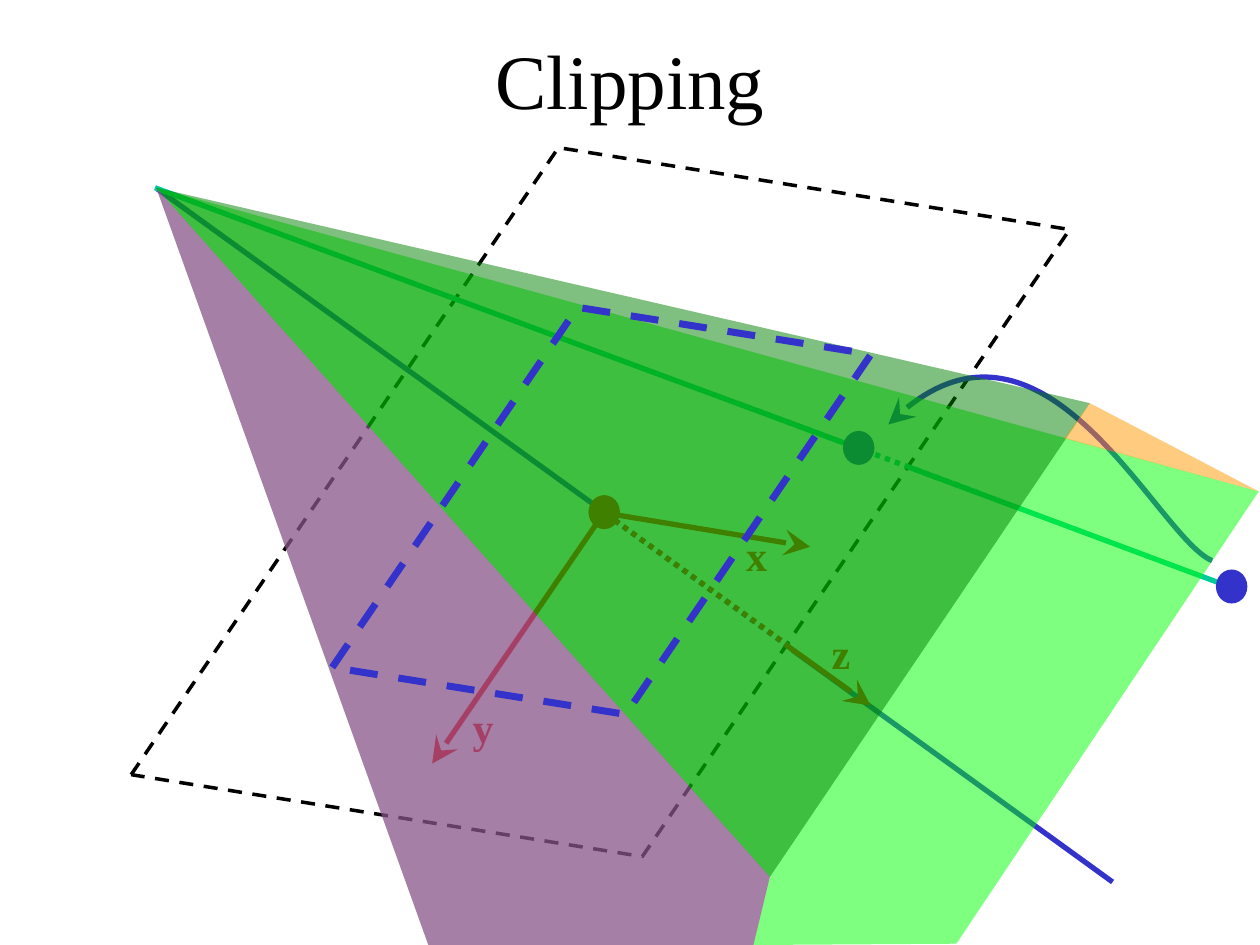
from dataclasses import dataclass

from lxml import etree
from pptx import Presentation
from pptx.dml.color import RGBColor
from pptx.enum.dml import MSO_LINE
from pptx.enum.shapes import MSO_CONNECTOR, MSO_SHAPE
from pptx.enum.text import MSO_ANCHOR, MSO_AUTO_SIZE, PP_ALIGN
from pptx.oxml.ns import qn
from pptx.util import Pt

PX = 9144
DASH, DOT = MSO_LINE.DASH, MSO_LINE.ROUND_DOT
OVAL, SLANT = MSO_SHAPE.OVAL, MSO_SHAPE.PARALLELOGRAM
LINE = MSO_CONNECTOR.STRAIGHT
MID, MIDDLE = PP_ALIGN.CENTER, MSO_ANCHOR.MIDDLE
FIT = MSO_AUTO_SIZE.SHAPE_TO_FIT_TEXT


@dataclass(frozen=True)
class Theme:
    """Hold the colours, type sizes and line widths."""
    font: str = "Times New Roman"
    head: int = 44
    label: int = 24
    thin: int = 2
    stroke: int = 3
    thick: int = 4
    ink: str = "000000"
    white: str = "FFFFFF"
    blue: str = "3333CC"
    teal: str = "00CC99"
    red: str = "FF0000"
    lime: str = "00FF00"
    green: str = "008000"
    amber: str = "FF9900"
    plum: str = "CC00CC"


THEME = Theme()


def rgb(tint):
    """Turn a hex string into a colour."""
    return RGBColor.from_string(tint)


def pen(line, tint, width=THEME.stroke, dash=None, arrow=False):
    """Style a line."""
    line.color.rgb = rgb(tint)
    line.width = Pt(width)
    if dash:
        line.dash_style = dash
    if arrow:
        etree.SubElement(line._get_or_add_ln(), qn("a:tailEnd"),
                         type="stealth", w="lg", len="lg")


def write(frame, text, size, tint, bold=False):
    """Write one centred run into a text frame."""
    frame.vertical_anchor = MIDDLE
    para = frame.paragraphs[0]
    para.alignment = MID
    run = para.add_run()
    run.text = text
    font = run.font
    font.name, font.size, font.bold = THEME.font, Pt(size), bold
    font.color.rgb = rgb(tint)


def link(slide, box, start, end, tint, dash=None, arrow=False):
    """Draw a straight line between two points of a box."""
    ends = [(box[i % 2] + n) * PX for i, n in enumerate(start + end)]
    wire = slide.shapes.add_connector(LINE, *ends)
    etree.SubElement(wire._element.spPr, qn("a:effectLst"))
    pen(wire.line, tint, dash=dash, arrow=arrow)


def ball(slide, box, spot, tint):
    """Draw a filled dot with its corner at a point of a box."""
    dot = slide.shapes.add_shape(OVAL, (box[0] + spot[0]) * PX,
                                 (box[1] + spot[1]) * PX, 25 * PX, 27 * PX)
    dot.shadow.inherit = False
    dot.fill.solid()
    dot.fill.fore_color.rgb = rgb(tint)
    dot.line.fill.background()


def outline(slide, box, spots, close):
    """Build a freeform through points of a box."""
    spots = [(box[0] + x, box[1] + y) for x, y in spots]
    build = slide.shapes.build_freeform(*spots[0], scale=PX)
    build.add_line_segments(spots[1:], close=close)
    shape = build.convert_to_shape()
    shape.shadow.inherit = False
    return shape


def face(slide, box, spots, tint):
    """Draw a half clear side of the view volume."""
    shape = outline(slide, box, spots, True)
    shape.line.fill.background()
    shape.fill.solid()
    shape.fill.fore_color.rgb = rgb(tint)
    shade = shape._element.spPr.find(".//" + qn("a:srgbClr"))
    etree.SubElement(shade, qn("a:alpha"), val="50000")


def curve(slide, box, spots, tint):
    """Draw a cubic arc with an arrowhead."""
    shape = outline(slide, box, spots, False)
    shape.fill.background()
    pen(shape.line, tint, arrow=True)
    trail = shape._element.spPr.find(".//" + qn("a:path"))
    steps = trail.findall(qn("a:lnTo"))
    arc = etree.SubElement(trail, qn("a:cubicBezTo"))
    for step in steps:
        arc.append(step[0])
        trail.remove(step)


def title(slide, box):
    """Place the slide title."""
    head = slide.shapes.title
    head.left, head.top, head.width, head.height = [n * PX for n in box]
    write(head.text_frame, "Clipping", THEME.head, THEME.ink)


def plane(slide, box, tint, width, fill=None):
    """Draw a dashed, tilted parallelogram that fills a box."""
    shape = slide.shapes.add_shape(SLANT, *[n * PX for n in box])
    shape.shadow.inherit = False
    shape.adjustments[0] = 0.47
    shape.rotation = 9.1
    if fill:
        shape.fill.solid()
        shape.fill.fore_color.rgb = rgb(fill)
    else:
        shape.fill.background()
    pen(shape.line, tint, width, DASH)


def rays(slide, box):
    """Draw the sight lines from the eye, their points and the arc."""
    blue, teal = THEME.blue, THEME.teal
    link(slide, box, (1, 1), (355, 257), blue)
    link(slide, box, (505, 367), (759, 551), blue)
    link(slide, box, (357, 259), (503, 365), blue, DOT)
    ball(slide, box, (343, 244), THEME.red)
    link(slide, box, (598, 222), (842, 313), teal)
    link(slide, box, (-1, 0), (558, 207), teal)
    link(slide, box, (461, 171), (652, 242), teal, DOT)
    ball(slide, box, (545, 193), blue)
    arc = [(838, 296), (795, 278), (702, 66), (581, 188)]
    curve(slide, box, arc, blue)
    ball(slide, box, (841, 303), blue)


def axes(slide, box):
    """Draw the three axes and their names."""
    red = THEME.red
    for start, end in (((0, 1), (164, 28)), ((1, 0), (-136, 200)),
                       ((145, 106), (212, 154))):
        link(slide, box, start, end, red, arrow=True)
    link(slide, box, (9, 7), (146, 106), red, DOT)
    for name, x, y, wide in (("y", -114, 146, 37), ("x", 103, 9, 37),
                             ("z", 171, 87, 35)):
        note = slide.shapes.add_textbox((box[0] + x) * PX, (box[1] + y) * PX,
                                        wide * PX, 50 * PX)
        frame = note.text_frame
        frame.word_wrap = False
        frame.auto_size = FIT
        write(frame, name, THEME.label, red, True)


def volume(slide, box):
    """Draw the four clear sides of the view volume."""
    eye, back, far = (0, 0), (741, 171), (875, 241)
    near, foot, base = (487, 547), (474, 601), (216, 601)
    for tint, spots in (
            (THEME.lime, [far, (635, 600), foot, base, eye]),
            (THEME.green, [near, eye, back]),
            (THEME.amber, [far, (721, 199), back]),
            (THEME.plum, [base, eye, near, foot])):
        face(slide, box, spots, tint)


def main():
    """Build and save the slide."""
    deck = Presentation()
    deck.slide_width, deck.slide_height = 1000 * PX, 750 * PX
    slide = deck.slides.add_slide(deck.slide_layouts[5])
    title(slide, (75, 0, 850, 125))
    plane(slide, (143, 126, 667, 545), THEME.ink, THEME.thin, THEME.white)
    rays(slide, (124, 149, 866, 551))
    axes(slide, (479, 406, 212, 200))
    volume(slide, (124, 149, 875, 601))
    plane(slide, (286, 249, 383, 313), THEME.blue, THEME.thick)
    deck.save("out.pptx")


if __name__ == "__main__":
    main()
